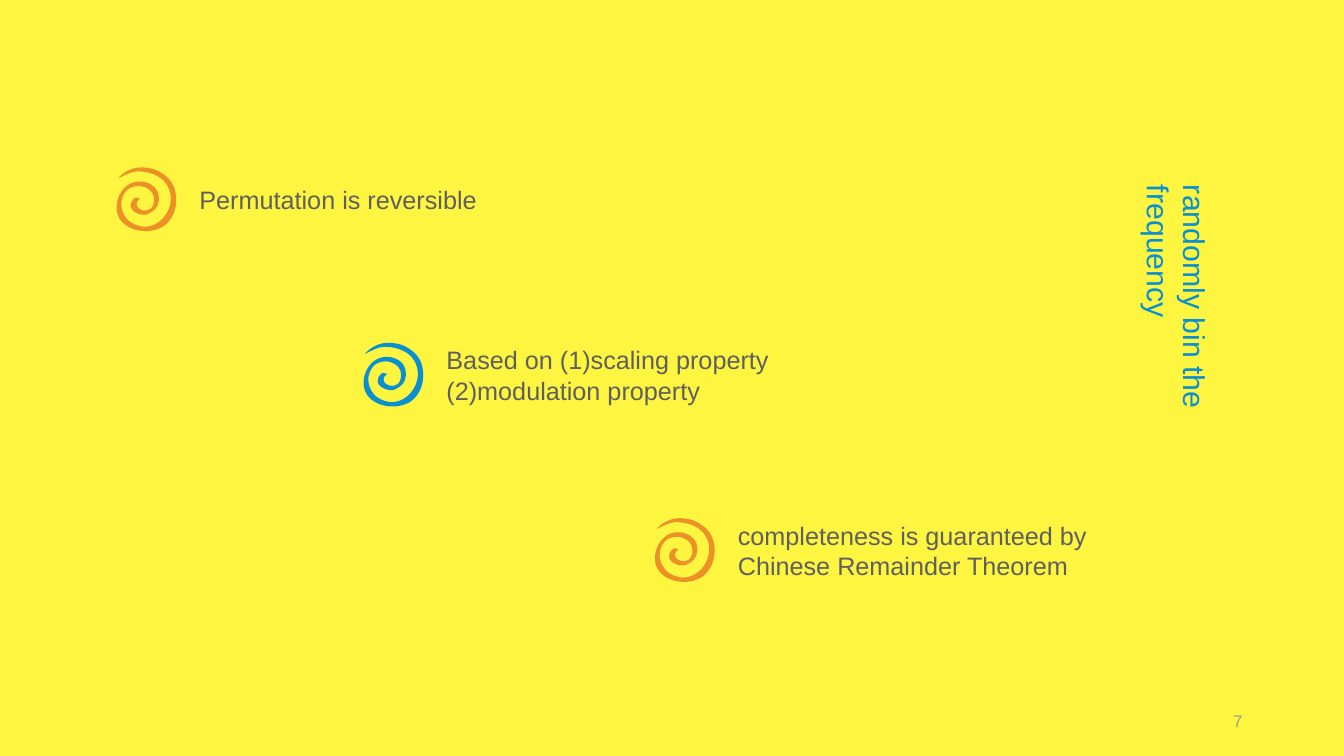
import lxml.etree
import pptx
import pptx.dml.color
import pptx.enum.text
import pptx.oxml.ns
import pptx.util

WIDTH, HEIGHT = 13.33, 7.5
FONT = "Arial"
YELLOW, ORANGE, BLUE = "FEF540", "EC9126", "0890D0"
DARK_GRAY, LIGHT_GRAY = "5F5F5F", "9C9C9C"

# Stair of points: first row, row height, and the left edge of each step
FIRST_ROW, ROW_STEP = 1.64, 1.74
POINTS = [
    (1.14, ORANGE, "Permutation is reversible"),
    (3.59, BLUE, "Based on (1)scaling property\n(2)modulation property"),
    (6.48, ORANGE, "completeness is guaranteed by Chinese Remainder Theorem"),
]

# Spiral outline in hundredths of an inch: size, start, then Bezier triples
SPIRAL_SIZE = (64, 69)
SPIRAL_START = (25, 33)
SPIRAL_CURVES = [
    (20, 36, 21, 41, 24, 43), (28, 46, 36, 46, 38, 39),
    (43, 25, 27, 17, 16, 22), (10, 24, 2, 36, 9, 49),
    (12, 55, 19, 60, 29, 61), (49, 61, 62, 37, 52, 20),
    (45, 8, 30, 6, 22, 6), (17, 6, 9, 10, 3, 13),
    (11, 4, 22, 0, 35, 3), (41, 4, 46, 7, 51, 11),
    (57, 16, 63, 26, 60, 42), (58, 51, 52, 60, 43, 63),
    (28, 69, 5, 63, 2, 46), (0, 35, 6, 21, 18, 17),
    (28, 14, 40, 18, 43, 28), (45, 35, 43, 43, 35, 47),
    (33, 49, 28, 50, 23, 48), (13, 44, 15, 37, 18, 34),
    (20, 31, 23, 32, 25, 33),
]


def color(hex_string):
    return pptx.dml.color.RGBColor.from_string(hex_string)


def add_command(outline, name, coords=()):
    """Append one drawing command with its points to a freeform outline."""
    qn = pptx.oxml.ns.qn
    command = lxml.etree.SubElement(outline, qn("a:" + name))
    for x, y in zip(coords[::2], coords[1::2]):
        lxml.etree.SubElement(command, qn("a:pt"), x=str(x), y=str(y))


def add_spiral(s, left, top, fill):
    unit = pptx.util.Inches(0.01)
    builder = s.shapes.build_freeform(*SPIRAL_START, scale=unit)
    builder.add_line_segments([curve[4:] for curve in SPIRAL_CURVES])
    sp = builder.convert_to_shape()
    sp.left, sp.top = pptx.util.Inches(left), pptx.util.Inches(top)
    sp.width, sp.height = (v * unit for v in SPIRAL_SIZE)

    # Turn the straight segments into Bezier curves
    outline = sp.element.xpath(".//a:path")[0]
    for command in list(outline):
        outline.remove(command)
    outline.set("w", str(SPIRAL_SIZE[0]))
    outline.set("h", str(SPIRAL_SIZE[1]))
    add_command(outline, "moveTo", SPIRAL_START)
    for curve in SPIRAL_CURVES:
        add_command(outline, "cubicBezTo", curve)
    add_command(outline, "close")

    sp.shadow.inherit = False
    sp.fill.solid()
    sp.fill.fore_color.rgb = color(fill)
    sp.line.fill.background()


def add_text(s, box, text, size, font_color, align="LEFT"):
    sp = s.shapes.add_textbox(*(pptx.util.Inches(v) for v in box))
    tf = sp.text_frame
    tf.word_wrap = True
    tf.vertical_anchor = pptx.enum.text.MSO_ANCHOR.MIDDLE
    tf.text = text
    for p in tf.paragraphs:
        p.alignment = pptx.enum.text.PP_ALIGN[align]
        for r in p.runs:
            r.font.name = FONT
            r.font.size = pptx.util.Pt(size)
            r.font.color.rgb = color(font_color)
    return sp


def add_point(s, left, top, fill, text):
    add_spiral(s, left, top, fill)
    add_text(s, (left + 0.74, top - 0.08, 3.96, 0.84), text, 18, DARK_GRAY)


def add_side_title(s, text):
    sp = add_text(s, (9.98, 3.16, 3.39, 0.74), text, 21.6, BLUE)
    sp.rotation = 90
    tf = sp.text_frame
    tf.margin_left = tf.margin_right = tf.margin_top = tf.margin_bottom = 0


def main():
    prs = pptx.Presentation()
    prs.slide_width = pptx.util.Inches(WIDTH)
    prs.slide_height = pptx.util.Inches(HEIGHT)
    s = prs.slides.add_slide(prs.slide_layouts[6])

    # Background
    s.background.fill.solid()
    s.background.fill.fore_color.rgb = color(YELLOW)

    # Title and points
    add_side_title(s, "randomly bin the frequency")
    for row, (left, fill, text) in enumerate(POINTS):
        add_point(s, left, FIRST_ROW + row * ROW_STEP, fill, text)

    # Page number
    add_text(s, (9.42, 6.95, 3, 0.4), "7", 12, LIGHT_GRAY, "RIGHT")

    prs.save("out.pptx")


if __name__ == "__main__":
    main()
